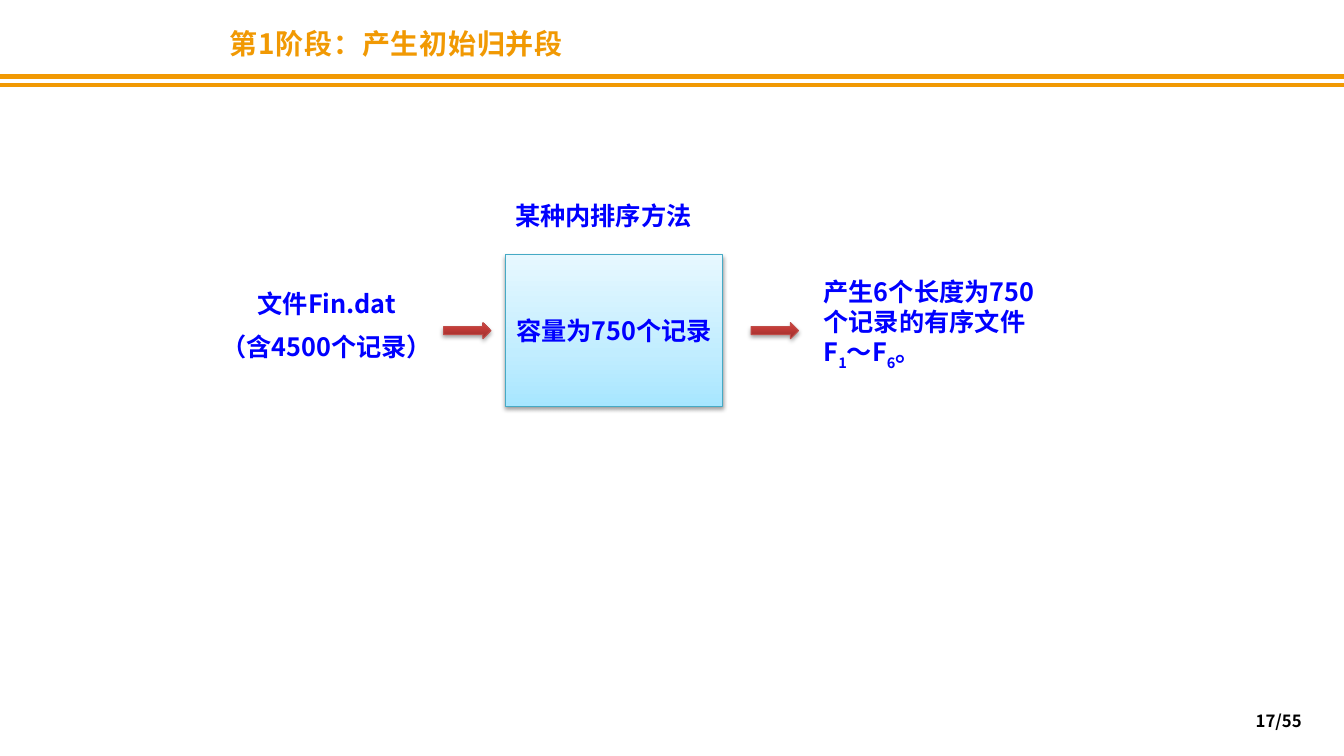
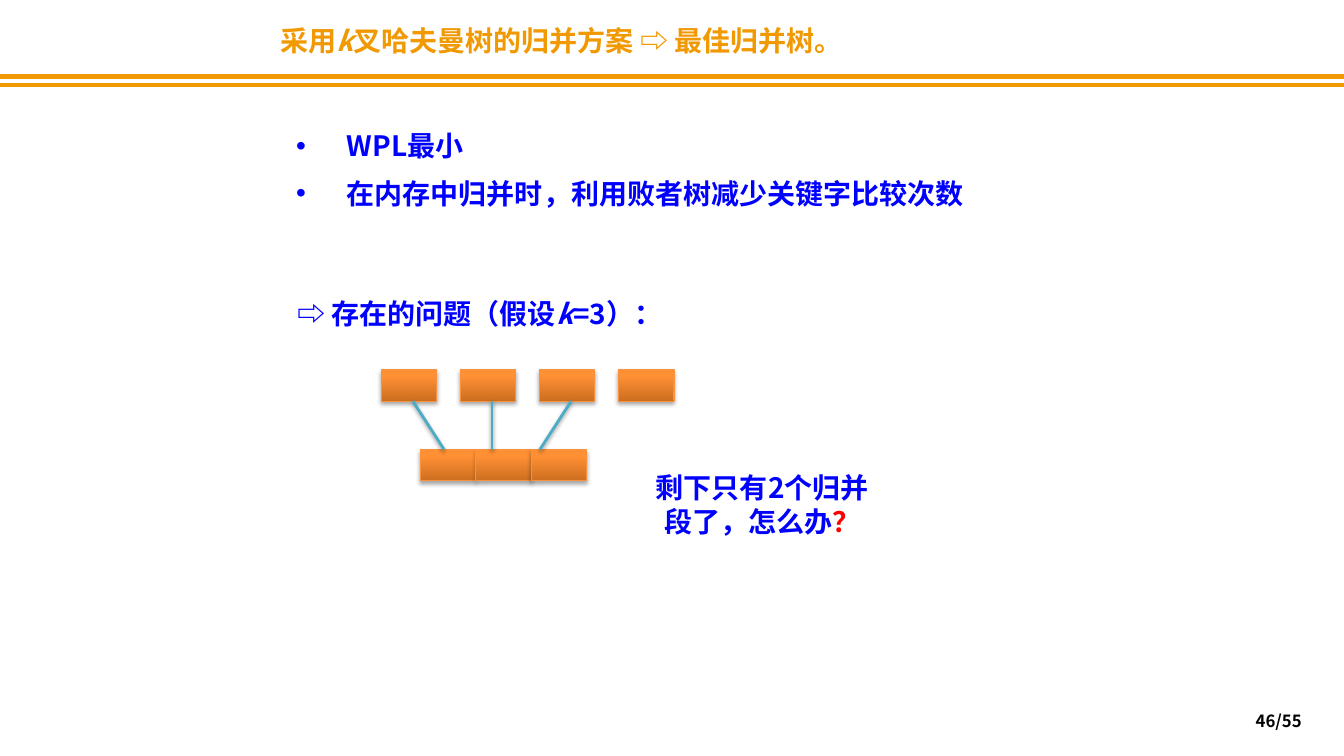
from pptx import Presentation
from pptx.dml.color import RGBColor
from pptx.enum import shapes, text
from pptx.oxml import parse_xml
from pptx.oxml.ns import nsdecls, qn
from pptx.util import Inches, Pt

FONT = "Noto Sans CJK SC"
GOLD, BLUE, RED, BLACK, WHITE = "F19903", "0000FF", "FF0000", "000000", "FFFFFF"
LEFT, CENTER, RIGHT = text.PP_ALIGN.LEFT, text.PP_ALIGN.CENTER, text.PP_ALIGN.RIGHT
BAND_TOPS = (0.76, 0.84)

SKY = dict(stops=[(0, "A7E6FF"), (35, "C1EDFF"), (100, "E7F8FF")], edge="46AAC5", shadow=(38, 1.6))
BRICK = dict(stops=[(0, "9C2F2D"), (80, "CB3E3A"), (100, "CE3B37")], edge="BF4C48", shadow=(35, 1.8))
ORANGE = dict(stops=[(0, "CC6E20"), (80, "FF9034"), (100, "FF9136")], edge="F69240", shadow=(35, 1.8))
LINK, LINK_SHADOW = "4BACC6", (38, 1.6)

PHASE_TITLE = [[("第1阶段：产生初始归并段", {"spacing": 0.5})]]
SOURCE_FILE = [[("文件Fin.dat", {})], [("（含4500个记录）", {})]]
METHOD = [[("某种内排序方法", {})]]
CAPACITY = [[("容量为750个记录", {})]]
SORTED_FILES = [[("产生6个长度为750个记录的有序文件F", {}), ("1", {"sub": True}),
                 ("～F", {}), ("6", {"sub": True}), ("。", {})]]

TREE_TITLE = [[("采用", {}), ("k", {"italic": True}), ("叉哈夫曼树的归并方案 ⇨ 最佳归并树。", {})]]
BENEFITS = [[("WPL最小", {})], [("在内存中归并时，利用败者树减少关键字比较次数", {})]]
PROBLEM = [[("⇨ 存在的问题（假设", {}), ("k", {"italic": True}), ("=3）：", {})]]
QUESTION = [[("剩下只有2个归并段了，怎么办", {}), ("？", {"color": RED})]]

RUN_SIZE = (0.55, 0.31)
RUNS_TOP, MERGED_TOP = 3.67, 4.46
RUNS_LEFT, RUN_STEP, RUN_COUNT = 3.78, 0.785, 4
MERGED_LEFT, MERGED_COUNT = 4.17, 3
LINKS_MIDDLE, LINK_TOP_STEP, LINK_END_STEP = 4.88, 0.785, 0.475


def rgb(value):
    """Return a colour from a hex string."""
    return RGBColor.from_string(value)


def inches(values):
    """Convert numbers to lengths."""
    return [Inches(value) for value in values]


def write(frame, paragraphs, size, color=BLUE, align=LEFT, before=0, wrap=True):
    """Fill a text frame with formatted paragraphs."""
    frame.word_wrap = wrap
    for index, parts in enumerate(paragraphs):
        paragraph = frame.add_paragraph() if index else frame.paragraphs[0]
        paragraph.alignment = align
        if index and before:
            paragraph.space_before = Pt(before)
        for words, style in parts:
            run = paragraph.add_run()
            run.text = words
            font = run.font
            font.size, font.name, font.bold = Pt(size), FONT, True
            font.italic = style.get("italic", False)
            font.color.rgb = rgb(style.get("color", color))
            props = run._r.get_or_add_rPr()
            props.append(parse_xml(f'<a:ea {nsdecls("a")} typeface="{FONT}"/>'))
            if "sub" in style:
                props.set("baseline", "-25000")
            if "spacing" in style:
                props.set("spc", str(int(style["spacing"] * 100)))


def add_label(slide, box, paragraphs, size, **style):
    """Add a text box and return its frame."""
    frame = slide.shapes.add_textbox(*inches(box)).text_frame
    write(frame, paragraphs, size, **style)
    return frame


def set_shadow(element, opacity, distance):
    """Give a shape or connector a soft shadow falling downwards."""
    props = element.spPr
    for old in props.findall(qn("a:effectLst")):
        props.remove(old)
    props.append(parse_xml(
        f'<a:effectLst {nsdecls("a")}><a:outerShdw blurRad="{Pt(3.1)}" dist="{Pt(distance)}" '
        f'dir="5400000" rotWithShape="0"><a:srgbClr val="{BLACK}">'
        f'<a:alpha val="{opacity * 1000}"/></a:srgbClr></a:outerShdw></a:effectLst>'))


def add_block(canvas, kind, box, look):
    """Add a shape with a vertical gradient, an edge and a shadow."""
    block = canvas.add_shape(kind, *inches(box))
    block.fill.gradient()
    block.fill.gradient_angle = 90
    stops = block._element.spPr.find(".//" + qn("a:gsLst"))
    for old in list(stops):
        stops.remove(old)
    for position, color in look["stops"]:
        stops.append(parse_xml(f'<a:gs {nsdecls("a")} pos="{position * 1000}">'
                               f'<a:srgbClr val="{color}"/></a:gs>'))
    block.line.color.rgb = rgb(look["edge"])
    block.line.width = Pt(0.75)
    set_shadow(block._element, *look["shadow"])
    return block


def add_line(canvas, ends, color, width, shadow=None):
    """Add a straight line, with a shadow if one is given."""
    line = canvas.add_connector(shapes.MSO_CONNECTOR.STRAIGHT, *inches(ends))
    line.line.color.rgb = rgb(color)
    line.line.width = Pt(width)
    if shadow:
        set_shadow(line._element, *shadow)
    else:
        line._element.spPr.append(parse_xml(f'<a:effectLst {nsdecls("a")}/>'))


def add_slide(deck, title, title_box, page):
    """Add a slide with the double band, title and page number."""
    slide = deck.slides.add_slide(deck.slide_layouts[6])
    for top in BAND_TOPS:
        add_line(slide.shapes, (0, top, 13.33, top), GOLD, 3)
    add_label(slide, title_box, title, 20, color=GOLD)
    number = add_label(slide, (9.9, 6.95, 3.11, 0.4), [[(page, {})]], 12, color=BLACK, align=RIGHT)
    number.vertical_anchor = text.MSO_ANCHOR.MIDDLE
    return slide


def build_phase(deck):
    """Build the slide on producing the initial runs."""
    slide = add_slide(deck, PHASE_TITLE, (2.18, 0.21, 4.49, 0.44), "17/55")
    add_label(slide, (1.98, 2.81, 2.52, 0.86), SOURCE_FILE, 18, align=CENTER, before=9)
    add_label(slide, (5.01, 1.94, 2.36, 0.4), METHOD, 18)
    add_label(slide, (8.07, 2.69, 2.36, 1.01), SORTED_FILES, 18)
    memory = add_block(slide.shapes, shapes.MSO_SHAPE.RECTANGLE, (5.01, 2.53, 2.16, 1.5), SKY)
    memory.text_frame.vertical_anchor = text.MSO_ANCHOR.MIDDLE
    write(memory.text_frame, CAPACITY, 18, align=CENTER, wrap=False)
    for left in (4.4, 7.45):
        add_block(slide.shapes, shapes.MSO_SHAPE.RIGHT_ARROW, (left, 3.2, 0.47, 0.16), BRICK)


def add_benefits(slide):
    """Add the bulleted list on its white panel."""
    panel = slide.shapes.add_shape(shapes.MSO_SHAPE.RECTANGLE, *inches((2.84, 1.09, 7.5, 1.05)))
    panel.shadow.inherit = False
    panel.fill.solid()
    panel.fill.fore_color.rgb = rgb(WHITE)
    panel.line.fill.background()
    panel.text_frame.vertical_anchor = text.MSO_ANCHOR.TOP
    write(panel.text_frame, BENEFITS, 20)
    for paragraph in panel.text_frame.paragraphs:
        paragraph.line_spacing = Pt(34)
        props = paragraph._p.get_or_add_pPr()
        props.set("marL", str(Inches(0.5)))
        props.set("indent", str(Inches(-0.5)))
        props.append(parse_xml(f'<a:buFont {nsdecls("a")} typeface="Arial"/>'))
        props.append(parse_xml(f'<a:buChar {nsdecls("a")} char="•"/>'))


def build_tree(deck):
    """Build the slide on the optimal merge tree."""
    slide = add_slide(deck, TREE_TITLE, (2.68, 0.18, 6.33, 0.44), "46/55")
    add_benefits(slide)
    add_label(slide, (2.85, 2.89, 5.16, 0.44), PROBLEM, 20)
    tree = slide.shapes.add_group_shape().shapes
    width, height = RUN_SIZE
    rows = ((RUNS_LEFT, RUNS_TOP, RUN_STEP, RUN_COUNT),
            (MERGED_LEFT, MERGED_TOP, width, MERGED_COUNT))
    for left, top, step, count in rows:
        for index in range(count):
            box = (left + index * step, top, width, height)
            add_block(tree, shapes.MSO_SHAPE.RECTANGLE, box, ORANGE)
    for side in (-1, 0, 1):
        ends = (LINKS_MIDDLE + side * LINK_TOP_STEP, RUNS_TOP + height,
                LINKS_MIDDLE + side * LINK_END_STEP, MERGED_TOP)
        add_line(tree, ends, LINK, 2, LINK_SHADOW)
    add_label(slide, (6.34, 4.62, 2.44, 0.77), QUESTION, 20, align=CENTER)


def main():
    """Build and save the deck."""
    deck = Presentation()
    deck.slide_width, deck.slide_height = Inches(13.33), Inches(7.5)
    build_phase(deck)
    build_tree(deck)
    deck.save("out.pptx")


if __name__ == "__main__":
    main()
